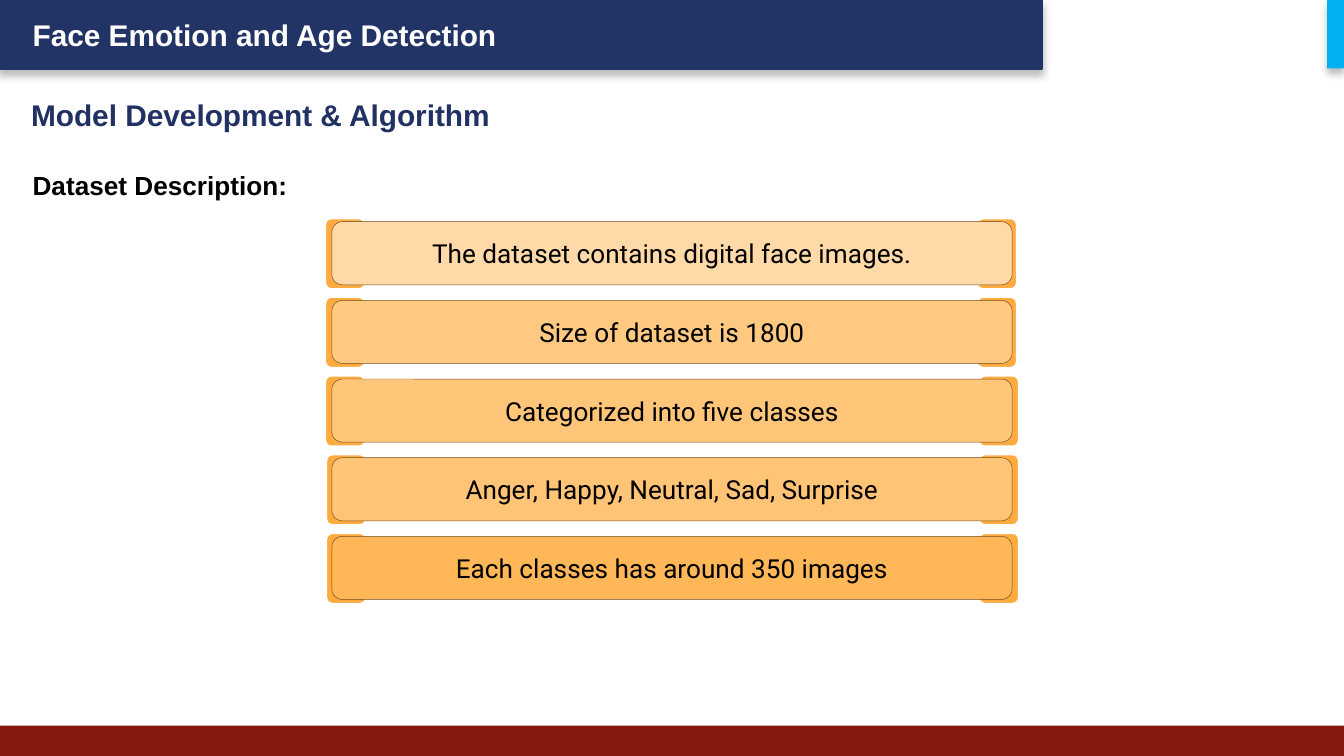
import pptx
import pptx.dml.color
import pptx.enum.shapes
import pptx.enum.text
import pptx.oxml
import pptx.oxml.ns
import pptx.util

Pt = pptx.util.Pt
SHAPES = pptx.enum.shapes.MSO_SHAPE
ANCHOR = pptx.enum.text.MSO_ANCHOR
ALIGN = pptx.enum.text.PP_ALIGN
AUTO_SIZE = pptx.enum.text.MSO_AUTO_SIZE


def color(hex_string):
    return pptx.dml.color.RGBColor.from_string(hex_string)


class SlideBuilder:
    NAVY, RED, CYAN = "223366", "851910", "00B0F0"
    WHITE, BLACK, TITLE = "FFFFFF", "000000", "213163"
    ORANGE, OUTLINE = "FFAB40", "704B1C"
    HEADING_FONT, BODY_FONT = "Arial", "Roboto"

    def __init__(self, slide):
        self.slide = slide

    def box(self, left, top, width, height, fill, line=None, line_width=0,
            kind=SHAPES.RECTANGLE):
        shape = self.slide.shapes.add_shape(
            kind, Pt(left), Pt(top), Pt(width), Pt(height))
        shape.fill.solid()
        shape.fill.fore_color.rgb = color(fill)
        if line:
            shape.line.color.rgb = color(line)
            shape.line.width = Pt(line_width)
        else:
            shape.line.fill.background()
        shape.shadow.inherit = False
        return shape

    def drop_shadow(self, shape):
        effects = shape.element.spPr.find(pptx.oxml.ns.qn("a:effectLst"))
        effects.append(pptx.oxml.parse_xml(
            f'<a:outerShdw {pptx.oxml.ns.nsdecls("a")} blurRad="{Pt(4)}" '
            f'dist="{Pt(3)}" dir="5400000" algn="t" rotWithShape="0">'
            f'<a:srgbClr val="{self.BLACK}"><a:alpha val="25000"/></a:srgbClr>'
            '</a:outerShdw>'))

    def style(self, paragraph, size, font, font_color, bold=False):
        for run in paragraph.runs:
            run.font.size = Pt(size)
            run.font.name = font
            run.font.bold = bold
            run.font.color.rgb = color(font_color)

    def heading(self, text, left, top, width, height, size, font_color,
                margin=7.2, grow=False):
        shape = self.slide.shapes.add_textbox(
            Pt(left), Pt(top), Pt(width), Pt(height))
        frame = shape.text_frame
        frame.word_wrap = True
        frame.margin_left = frame.margin_right = Pt(7.2)
        frame.margin_top = frame.margin_bottom = Pt(margin)
        frame.auto_size = AUTO_SIZE.SHAPE_TO_FIT_TEXT if grow else AUTO_SIZE.NONE
        frame.text = text
        self.style(frame.paragraphs[0], size, self.HEADING_FONT, font_color, True)

    def clip(self, left, top):
        self.box(left, top, 22.3, 38.9, self.ORANGE, self.WHITE, 2,
                 SHAPES.ROUNDED_RECTANGLE)

    def bar(self, text, top, fill):
        shape = self.box(177.8, top, 364.4, 33.8, fill, self.OUTLINE, 0.25,
                         SHAPES.ROUNDED_RECTANGLE)
        frame = shape.text_frame
        frame.text = text
        frame.word_wrap = True
        frame.vertical_anchor = ANCHOR.MIDDLE
        frame.paragraphs[0].alignment = ALIGN.CENTER
        self.style(frame.paragraphs[0], 14, self.BODY_FONT, self.BLACK)


def main():
    presentation = pptx.Presentation()
    presentation.slide_width, presentation.slide_height = Pt(720), Pt(405)
    slide = presentation.slides.add_slide(presentation.slide_layouts[6])
    builder = SlideBuilder(slide)

    # Header and footer bands
    header = builder.box(0, 0, 558, 36.5, builder.NAVY, builder.NAVY, 2)
    builder.drop_shadow(header)
    builder.box(0, 388.8, 720, 16.2, builder.RED)
    builder.heading("Face Emotion and Age Detection", 10.4, 5.2, 306, 26.7,
                    16, builder.WHITE, margin=3.6, grow=True)
    accent = builder.box(710.9, 0, 9.1, 36.7, builder.CYAN)
    builder.drop_shadow(accent)

    # Section headings
    builder.heading("Model Development & Algorithm", 9.6, 44.6, 350.6, 33.8,
                    16, builder.TITLE)
    builder.heading("Dataset Description:", 10.4, 83.5, 345.6, 39.6,
                    14, builder.BLACK)

    # Dataset facts: text, bar fill, left positions of the two clips
    facts = [
        ("The dataset contains digital face images.", "FFD9A7", 173.7, 522.9),
        ("Size of dataset is 1800", "FFC981", 173.7, 522.9),
        ("Categorized into five classes", "FFC679", 173.7, 524),
        ("Anger, Happy, Neutral, Sad, Surprise", "FFC475", 174.3, 524),
        ("Each classes has around 350 images", "FFB757", 174.3, 524),
    ]
    for index, (text, fill, *clip_lefts) in enumerate(facts):
        top = 118.8 + 42.15 * index
        for left in clip_lefts:
            builder.clip(left, top - 2.3)
        builder.bar(text, top, fill)

    presentation.save("out.pptx")


if __name__ == "__main__":
    main()
